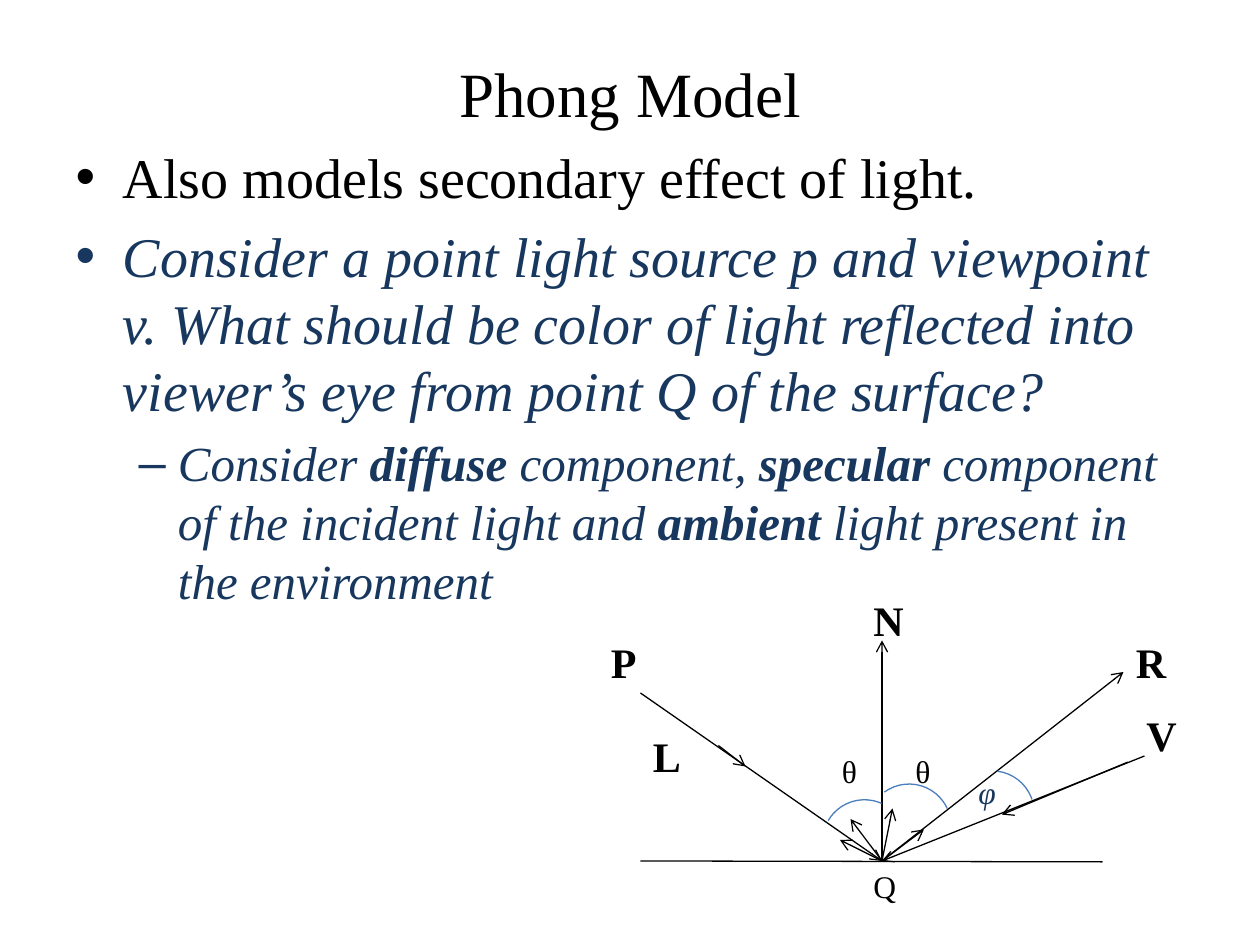
from dataclasses import dataclass

from lxml.etree import SubElement
from pptx import Presentation
from pptx.dml.color import RGBColor
from pptx.enum.shapes import MSO_CONNECTOR, MSO_SHAPE
from pptx.enum.text import MSO_ANCHOR, MSO_AUTO_SIZE, PP_ALIGN
from pptx.oxml.ns import qn
from pptx.util import Pt

FONT = "Times New Roman"
BLACK, NAVY, BLUE = "000000", "17375E", "4B7EBC"
LINE_WIDTH = 0.75


@dataclass
class Ray:
    start: tuple[float, float]
    end: tuple[float, float]
    arrow: bool = True


@dataclass
class Label:
    text: str
    left: float
    top: float
    width: float
    size: float = 24
    bold: bool = True
    italic: bool = False
    color: str = BLACK


@dataclass
class AngleArc:
    left: float
    top: float
    rotation: float
    start: float
    end: float


def rgb(color: str) -> RGBColor:
    return RGBColor.from_string(color)


def add_run(paragraph, text: str, size: float, color: str = BLACK,
            bold: bool = False, italic: bool = False) -> None:
    run = paragraph.add_run()
    run.text = text
    font = run.font
    font.name, font.size = FONT, Pt(size)
    font.bold, font.italic = bold, italic
    font.color.rgb = rgb(color)


def place(shape, left: float, top: float, width: float, height: float) -> None:
    shape.left, shape.top = Pt(left), Pt(top)
    shape.width, shape.height = Pt(width), Pt(height)


def draw_ray(slide, ray: Ray) -> None:
    connector = slide.shapes.add_connector(
        MSO_CONNECTOR.STRAIGHT, *(Pt(value) for value in ray.start + ray.end))
    connector.line.color.rgb = rgb(BLACK)
    connector.line.width = Pt(LINE_WIDTH)
    if ray.arrow:
        SubElement(connector.line._get_or_add_ln(), qn("a:tailEnd"), type="arrow")
    SubElement(connector._element.spPr, qn("a:effectLst"))


def draw_label(slide, label: Label) -> None:
    height = label.size * 1.5
    box = slide.shapes.add_textbox(
        Pt(label.left), Pt(label.top), Pt(label.width), Pt(height))
    box.text_frame.word_wrap = True
    add_run(box.text_frame.paragraphs[0], label.text, label.size,
            label.color, label.bold, label.italic)


def draw_arc(slide, arc: AngleArc) -> None:
    shape = slide.shapes.add_shape(
        MSO_SHAPE.ARC, Pt(arc.left), Pt(arc.top), Pt(48), Pt(48))
    shape.rotation = arc.rotation
    # Angles are stored in 60000ths of a degree, adjustments in 100000ths
    shape.adjustments[0] = arc.start * 0.6
    shape.adjustments[1] = arc.end * 0.6
    shape.shadow.inherit = False
    shape.fill.background()
    shape.line.color.rgb = rgb(BLUE)
    shape.line.width = Pt(LINE_WIDTH)


# Body text: (level, size, color, italic, [(text, bold), ...])
BULLETS = [
    (0, 32, BLACK, False, [("Also models secondary effect of light.", False)]),
    (0, 32, NAVY, True, [
        ("Consider a point light source p and viewpoint v. What should be color "
         "of light reflected into viewer’s eye from point Q of the surface?", False)]),
    (1, 28, NAVY, True, [
        ("Consider ", False), ("diffuse", True), (" component, ", False),
        ("specular", True), (" component of the incident light and ", False),
        ("ambient", True), (" light present in the environment", False)]),
]

# Rays of the reflection diagram, meeting at the surface point Q
Q = (504, 492)
SCATTERED_TIPS = [(504, 366), (528, 474), (510, 462), (486, 468), (480, 480),
                  (642, 384)]
RAYS = [
    Ray((366, 492), (630, 492.5), arrow=False),
    *(Ray(Q, tip) for tip in SCATTERED_TIPS),
    Ray((654, 432), Q),
    Ray((366, 396), Q),
    Ray((410.5, 426), (426, 438)),
    Ray((644.5, 435.5), (572.5, 465.5)),
]

LABELS = [
    Label("P", 342, 360, 24),
    Label("L", 366, 414, 24),
    Label("N", 492, 336, 32),
    Label("R", 642, 360, 24),
    Label("V", 648, 402, 24),
    Label("θ", 474, 426, 23, 18, bold=False),
    Label("θ", 516, 426, 23, 18, bold=False),
    Label("φ", 552, 438, 36, 18, bold=False, italic=True, color=NAVY),
    Label("Q", 492, 492, 48, 18, bold=False),
]

ARCS = [
    AngleArc(495.5, 448, 323.9, 270, 11.66),
    AngleArc(470, 457, 282.7, 287.54, 11.66),
    AngleArc(543, 440.5, 7.4, 270, 333.94),
]


def main() -> None:
    presentation = Presentation()
    presentation.slide_width, presentation.slide_height = Pt(720), Pt(540)
    slide = presentation.slides.add_slide(presentation.slide_layouts[1])

    # Title
    title = slide.shapes.title
    place(title, 36, 21.5, 648, 63)
    title.text_frame.vertical_anchor = MSO_ANCHOR.MIDDLE
    heading = title.text_frame.paragraphs[0]
    heading.alignment = PP_ALIGN.CENTER
    add_run(heading, "Phong Model", 36)

    # Bulleted list
    body = slide.placeholders[1]
    place(body, 36, 78, 648, 404.5)
    frame = body.text_frame
    frame.auto_size = MSO_AUTO_SIZE.NONE
    for index, (level, size, color, italic, parts) in enumerate(BULLETS):
        paragraph = frame.add_paragraph() if index else frame.paragraphs[0]
        paragraph.level = level
        for text, bold in parts:
            add_run(paragraph, text, size, color, bold, italic)

    # Reflection diagram
    for ray in RAYS:
        draw_ray(slide, ray)
    for label in LABELS:
        draw_label(slide, label)
    for arc in ARCS:
        draw_arc(slide, arc)

    presentation.save("out.pptx")


if __name__ == "__main__":
    main()
